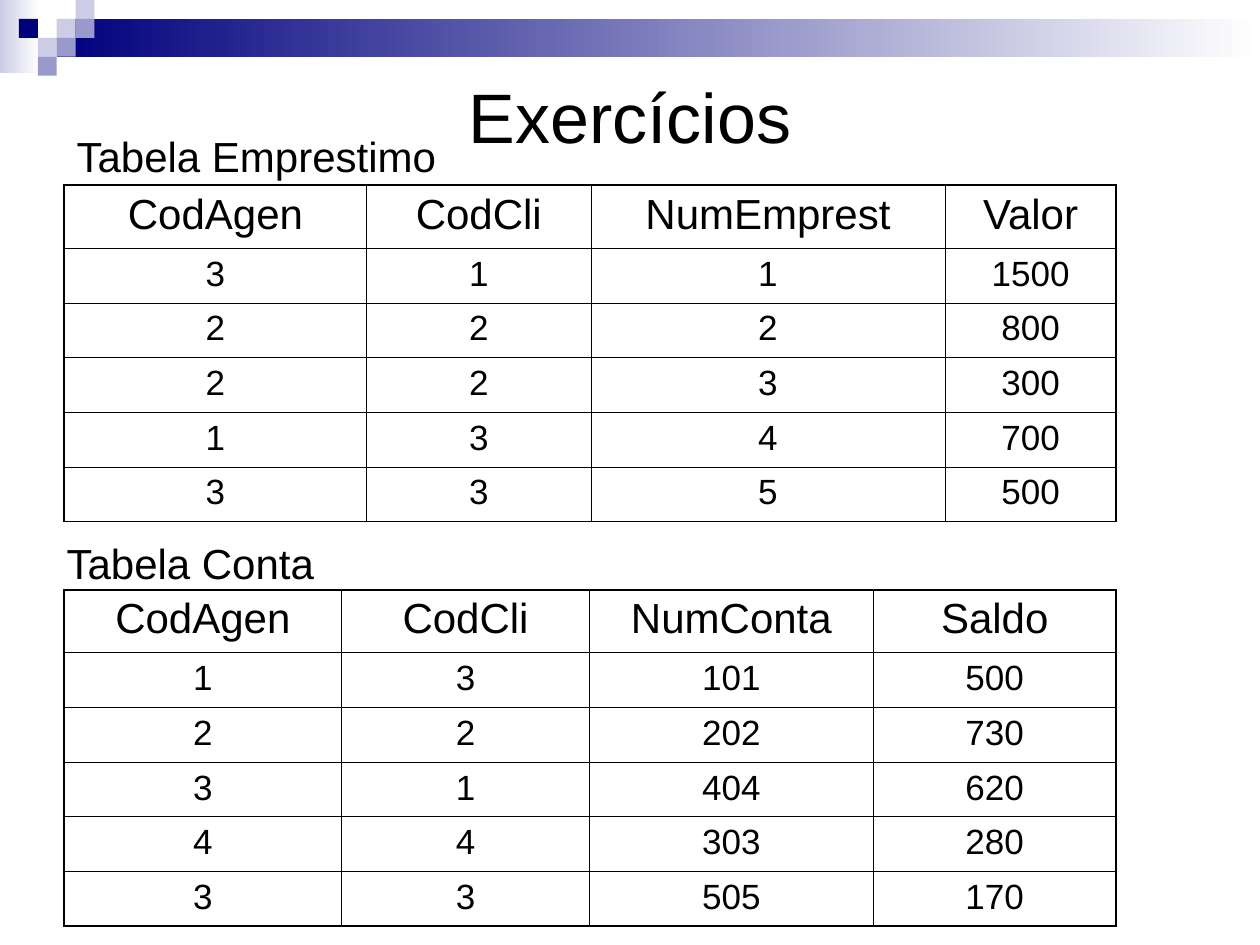
from dataclasses import dataclass

import lxml.etree
import pptx
import pptx.dml.color
import pptx.enum.shapes
import pptx.enum.text
import pptx.oxml.ns
import pptx.util

Pt = pptx.util.Pt
qn = pptx.oxml.ns.qn
ALIGN = pptx.enum.text.PP_ALIGN
ANCHOR = pptx.enum.text.MSO_ANCHOR

COLORS = {
    "navy": "00007D",
    "lilac": "9999CC",
    "pale": "CCCCE6",
    "white": "FFFFFF",
    "black": "000000",
}
FONT = "Arial"
UNIT = 10.8
TABLE_LEFT = 36.72
HEADER_HEIGHT = 36
ROW_HEIGHT = 31.25
THIN, THICK = 0.45, 1.08


@dataclass
class Square:
    col: int
    row: int
    color: str


@dataclass
class LabeledTable:
    label: str
    label_left: float
    label_top: float
    top: float
    widths: list[float]
    rows: list[list[str]]


SQUARES = [
    Square(3, 1, "pale"),
    Square(4, 0, "pale"),
    Square(4, 1, "lilac"),
    Square(2, 2, "pale"),
    Square(1, 1, "navy"),
    Square(3, 2, "lilac"),
    Square(2, 3, "lilac"),
]

TABLES = [
    LabeledTable(
        "Tabela Emprestimo", 36.72, 71.28, 105.84,
        [172.8, 128.16, 202.32, 97.92],
        [
            ["CodAgen", "CodCli", "NumEmprest", "Valor"],
            ["3", "1", "1", "1500"],
            ["2", "2", "2", "800"],
            ["2", "2", "3", "300"],
            ["1", "3", "4", "700"],
            ["3", "3", "5", "500"],
        ],
    ),
    LabeledTable(
        "Tabela Conta", 30.96, 303.84, 336.96,
        [158.4, 141.84, 162, 138.96],
        [
            ["CodAgen", "CodCli", "NumConta", "Saldo"],
            ["1", "3", "101", "500"],
            ["2", "2", "202", "730"],
            ["3", "1", "404", "620"],
            ["4", "4", "303", "280"],
            ["3", "3", "505", "170"],
        ],
    ),
]


def rgb(name: str) -> pptx.dml.color.RGBColor:
    return pptx.dml.color.RGBColor.from_string(COLORS[name])


def apply(target, values: dict) -> None:
    for name, value in values.items():
        setattr(target, name, value)


def write(tf, text: str, size: float, align) -> None:
    p = tf.paragraphs[0]
    p.alignment = align
    r = p.add_run()
    r.text = text
    apply(r.font, {"name": FONT, "size": Pt(size)})
    r.font.color.rgb = rgb("black")


def add_rect(s, left: float, top: float, width: float, height: float, *colors: str) -> None:
    sp = s.shapes.add_shape(
        pptx.enum.shapes.MSO_SHAPE.RECTANGLE, Pt(left), Pt(top), Pt(width), Pt(height)
    )
    sp.shadow.inherit = False
    sp.line.fill.background()
    if len(colors) == 1:
        sp.fill.solid()
        sp.fill.fore_color.rgb = rgb(colors[0])
        return
    sp.fill.gradient()
    sp.fill.gradient_angle = 0
    for stop, color in zip(sp.fill.gradient_stops, colors):
        stop.color.rgb = rgb(color)


def add_borders(cell, widths: dict[str, float]) -> None:
    tcPr = cell._tc.get_or_add_tcPr()
    for side, width in widths.items():
        ln = lxml.etree.SubElement(tcPr, qn(f"a:ln{side}"), w=str(int(Pt(width))))
        fill = lxml.etree.SubElement(ln, qn("a:solidFill"))
        lxml.etree.SubElement(fill, qn("a:srgbClr"), val=COLORS["black"])


def add_labeled_table(s, spec: LabeledTable) -> None:
    last_row, last_col = len(spec.rows) - 1, len(spec.widths) - 1
    height = HEADER_HEIGHT + last_row * ROW_HEIGHT
    table = s.shapes.add_table(
        last_row + 1, last_col + 1,
        Pt(TABLE_LEFT), Pt(spec.top), Pt(sum(spec.widths)), Pt(height),
    ).table
    apply(table, {"first_row": False, "horz_banding": False})
    for column, width in zip(table.columns, spec.widths):
        column.width = Pt(width)
    for i, values in enumerate(spec.rows):
        table.rows[i].height = Pt(ROW_HEIGHT if i else HEADER_HEIGHT)
        for j, value in enumerate(values):
            cell = table.cell(i, j)
            write(cell.text_frame, value, 20 if i else 24, ALIGN.CENTER)
            add_borders(cell, {
                "L": THIN if j else THICK,
                "R": THICK if j == last_col else THIN,
                "T": THIN if i else THICK,
                "B": THICK if i == last_row else THIN,
            })
            cell.fill.background()

    tf = s.shapes.add_textbox(
        Pt(spec.label_left), Pt(spec.label_top), Pt(239.76), Pt(36)
    ).text_frame
    apply(tf, {
        "word_wrap": True,
        "auto_size": pptx.enum.text.MSO_AUTO_SIZE.SHAPE_TO_FIT_TEXT,
    })
    write(tf, spec.label, 24, ALIGN.LEFT)


def main() -> None:
    prs = pptx.Presentation()
    apply(prs, {"slide_width": Pt(720), "slide_height": Pt(540)})
    s = prs.slides.add_slide(prs.slide_layouts[5])
    s.background.fill.solid()
    s.background.fill.fore_color.rgb = rgb("white")

    title = s.shapes.title
    apply(title, {"left": Pt(36), "top": Pt(36), "width": Pt(648), "height": Pt(59.76)})
    apply(title.text_frame, {
        "word_wrap": True,
        "vertical_anchor": ANCHOR.MIDDLE,
        "auto_size": pptx.enum.text.MSO_AUTO_SIZE.NONE,
    })
    write(title.text_frame, "Exercícios", 40, ALIGN.CENTER)

    add_rect(s, 0, 0, 22.32, 41.76, "pale", "white")
    add_rect(s, 3 * UNIT, UNIT, 720 - 3 * UNIT, 2 * UNIT, "navy", "white")
    for square in SQUARES:
        add_rect(s, square.col * UNIT, square.row * UNIT, UNIT, UNIT, square.color)
    for spec in TABLES:
        add_labeled_table(s, spec)

    prs.save("out.pptx")


if __name__ == "__main__":
    main()
